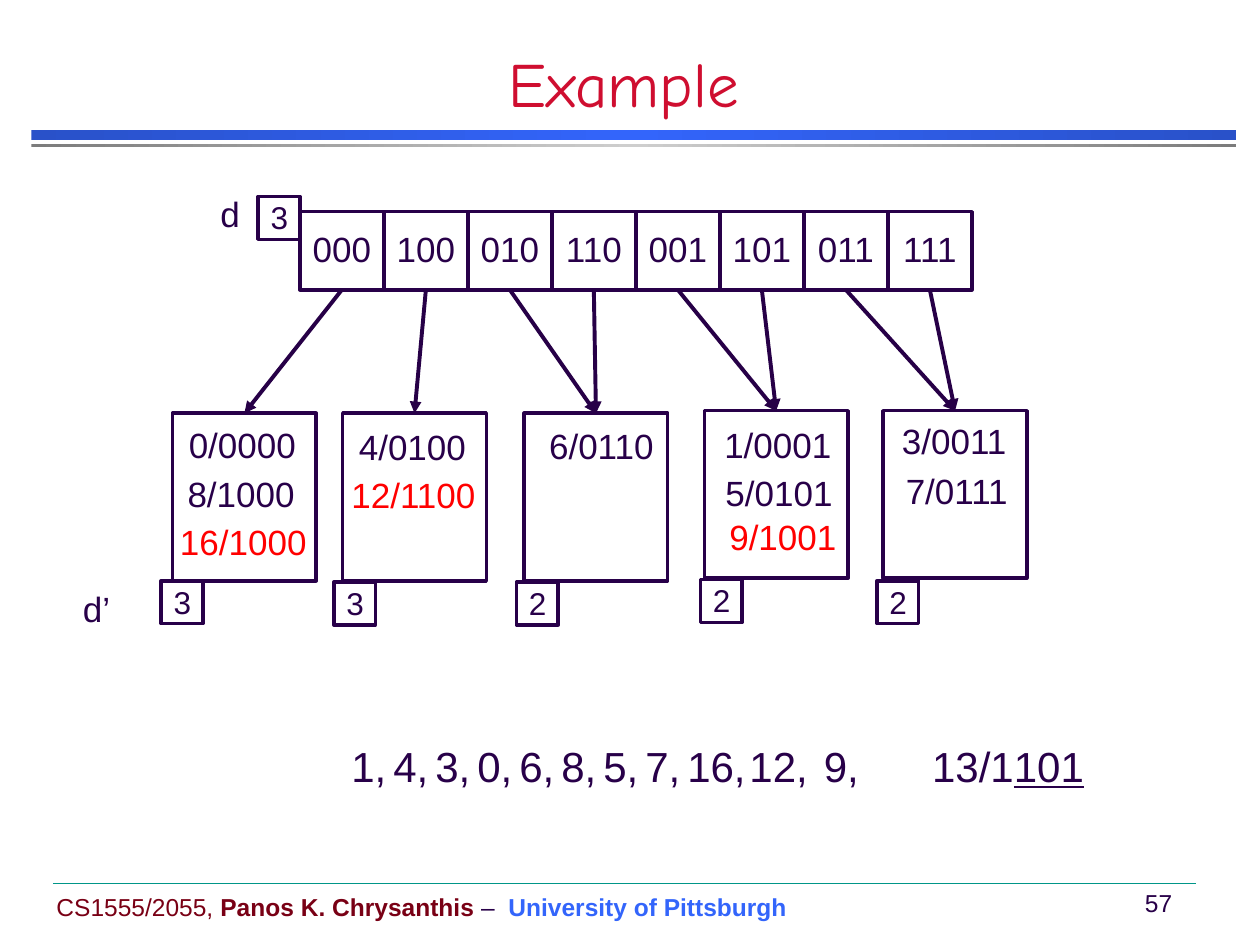
from copy import deepcopy

from pptx import Presentation
from pptx.dml.color import RGBColor
from pptx.enum import shapes, text
from pptx.oxml import parse_xml
from pptx.oxml.ns import nsdecls, qn
from pptx.util import Inches, Pt

INK, RED, BLUE, WINE = "280049", "FF0000", "3365FB", "790015"
CELLS = ["000", "100", "010", "110", "001", "101", "011", "111"]
TARGETS = [0, 1, 2, 2, 3, 3, 4, 4]
BUCKETS = [
    (1.37, 3.28, (1.28, 4.61), "3", [
        ("0/0000", 1.4, 3.31, 1.06, INK), ("8/1000", 1.39, 3.7, 1.06, INK),
        ("16/1000", 1.33, 4.08, 1.22, RED)]),
    (2.72, 3.28, (2.65, 4.62), "3", [
        ("4/0100", 2.75, 3.33, 1.06, INK), ("12/1100", 2.69, 3.71, 1.19, RED)]),
    (4.16, 3.28, (4.1, 4.62), "2", [("6/0110", 4.26, 3.32, 1.04, INK)]),
    (5.59, 3.26, (5.56, 4.6), "2", [
        ("1/0001", 5.65, 3.31, 1.06, INK), ("5/0101", 5.66, 3.69, 1.06, INK),
        ("9/1001", 5.69, 4.04, 1.06, RED)]),
    (7.01, 3.26, (6.96, 4.61), "2", [
        ("3/0011", 7.06, 3.28, 1.04, INK), ("7/0111", 7.09, 3.68, 1.02, INK)]),
]
KEYS = ["1,", "4,", "3,", "0,", "6,", "8,", "5,", "7,", "16,"]


def rgb(code):
    """Turn a hex string into a colour."""
    return RGBColor.from_string(code)


def add_run(para, words, size, code=INK, bold=False, line=False, face="Arial"):
    """Add one formatted run to a paragraph."""
    run = para.add_run()
    run.text = words
    font = run.font
    font.name, font.size, font.bold, font.underline = face, Pt(size), bold, line
    font.color.rgb = rgb(code)


def add_label(slide, at, size, *runs, wrap=False):
    """Add a text box; each run is its words and optional styling."""
    box = slide.shapes.add_textbox(*map(Inches, at))
    frame = box.text_frame
    frame.word_wrap = wrap
    frame.auto_size = text.MSO_AUTO_SIZE.SHAPE_TO_FIT_TEXT
    for words, *style in runs:
        add_run(frame.paragraphs[0], words, size, *style)
    return box


def add_box(slide, at, words="", size=20, align="CENTER", anchor="MIDDLE"):
    """Add a white outlined rectangle, with text if given."""
    box = slide.shapes.add_shape(shapes.MSO_SHAPE.RECTANGLE, *map(Inches, at))
    box.shadow.inherit = False
    box.fill.solid()
    box.fill.fore_color.rgb = rgb("FFFFFF")
    box.line.color.rgb = rgb(INK)
    box.line.width = Pt(2)
    if words:
        box.text_frame.vertical_anchor = getattr(text.MSO_ANCHOR, anchor)
        para = box.text_frame.paragraphs[0]
        para.alignment = getattr(text.PP_ALIGN, align)
        para.line_spacing = 0.9
        add_run(para, words, size)
    return box


def add_band(slide, at, edge, mid):
    """Add a bar that fades from edge to mid and back."""
    bar = slide.shapes.add_shape(shapes.MSO_SHAPE.RECTANGLE, *map(Inches, at))
    bar.shadow.inherit = False
    bar.line.fill.background()
    bar.fill.gradient()
    bar.fill.gradient_angle = 0
    first = bar._element.spPr.find(".//" + qn("a:gs"))
    first.addnext(deepcopy(first))
    for stop, place, code in zip(bar.fill.gradient_stops, (0, 0.5, 1), (edge, mid, edge)):
        stop.position = place
        stop.color.rgb = rgb(code)


def add_line(slide, ends, code, width):
    """Add a straight line without shadow."""
    line = slide.shapes.add_connector(
        shapes.MSO_CONNECTOR.STRAIGHT, *map(Inches, ends))
    line.line.color.rgb = rgb(code)
    line.line.width = Pt(width)
    line._element.spPr.append(parse_xml(f"<a:effectLst {nsdecls('a')}/>"))
    return line


def add_arrow(slide, cell, bucket):
    """Point an arrow from a cell's bottom to a bucket's top."""
    line = add_line(slide, (0, 0, 1, 1), "270047", 2.25)
    line.begin_connect(cell, 2)
    line.end_connect(bucket, 0)
    line.line._get_or_add_ln().append(
        parse_xml(f'<a:tailEnd {nsdecls("a")} type="triangle"/>'))


def add_frame(slide):
    """Add the title, its bars and the footer."""
    add_band(slide, (0.25, 1.03, 9.56, 0.08), "2951C9", BLUE)
    add_band(slide, (0.25, 1.14, 9.56, 0.03), "7C7C7C", "CECECE")
    title = slide.shapes.title
    title.left, title.top, title.width, title.height = map(Inches, (0, 0.42, 9.9, 0.58))
    title.text_frame.vertical_anchor = text.MSO_ANCHOR.BOTTOM
    para = title.text_frame.paragraphs[0]
    para.alignment = text.PP_ALIGN.CENTER
    add_run(para, "Example", 36, "CF0E30", face="Comic Neue")
    add_line(slide, (0.42, 7.01, 9.49, 7.01), "009688", 0.25)
    add_label(slide, (0.35, 7.03, 6.04, 0.33), 14,
              ("CS1555/2055, ", WINE), ("Panos K. Chrysanthis", WINE, True),
              (" –  ",), ("University of Pittsburgh", BLUE, True))
    page = add_label(slide, (8.95, 7, 0.49, 0.33), 14, ("57",))
    page.text_frame.paragraphs[0].alignment = text.PP_ALIGN.CENTER


def add_table(slide):
    """Add the directory, its buckets and the arrows between them."""
    boxes = [add_box(slide, (x, y, 1.14, 1.33)) for x, y, *_ in BUCKETS]
    step = 2 / 3
    cells = [add_box(slide, (2.38 + i * step, 1.68, step, 0.62), name)
             for i, name in enumerate(CELLS)]
    tags = [((2.05, 1.56), "3")] + [(spot, depth) for _, _, spot, depth, _ in BUCKETS]
    for spot, depth in tags:
        add_box(slide, (*spot, 0.33, 0.34), depth, 18, "LEFT", "TOP")
    for cell, goal in zip(cells, TARGETS):
        add_arrow(slide, cell, boxes[goal])
    for *_, items in BUCKETS:
        for words, x, y, width, code in items:
            add_label(slide, (x, y, width, 0.44), 20, (words, code))
    add_label(slide, (1.65, 1.48, 0.36, 0.44), 20, ("d",))
    add_label(slide, (0.56, 4.61, 0.42, 0.44), 20, ("d’",))


def add_keys(slide):
    """Add the row of inserted keys."""
    spots = [(key, 2.69 + i / 3) for i, key in enumerate(KEYS)]
    for key, x in spots + [("12,", 5.85), ("9,", 6.44)]:
        add_label(slide, (x, 5.83, 0.7, 0.51), 24, (key,), wrap=True)
    add_label(slide, (7.3, 5.83, 1.54, 0.51), 24,
              ("13/1",), ("101", INK, False, True), wrap=True)


def main():
    """Build and save the slide."""
    deck = Presentation()
    deck.slide_width, deck.slide_height = Inches(10), Inches(7.5)
    slide = deck.slides.add_slide(deck.slide_layouts[5])
    add_frame(slide)
    add_table(slide)
    add_keys(slide)
    deck.save("out.pptx")


if __name__ == "__main__":
    main()
